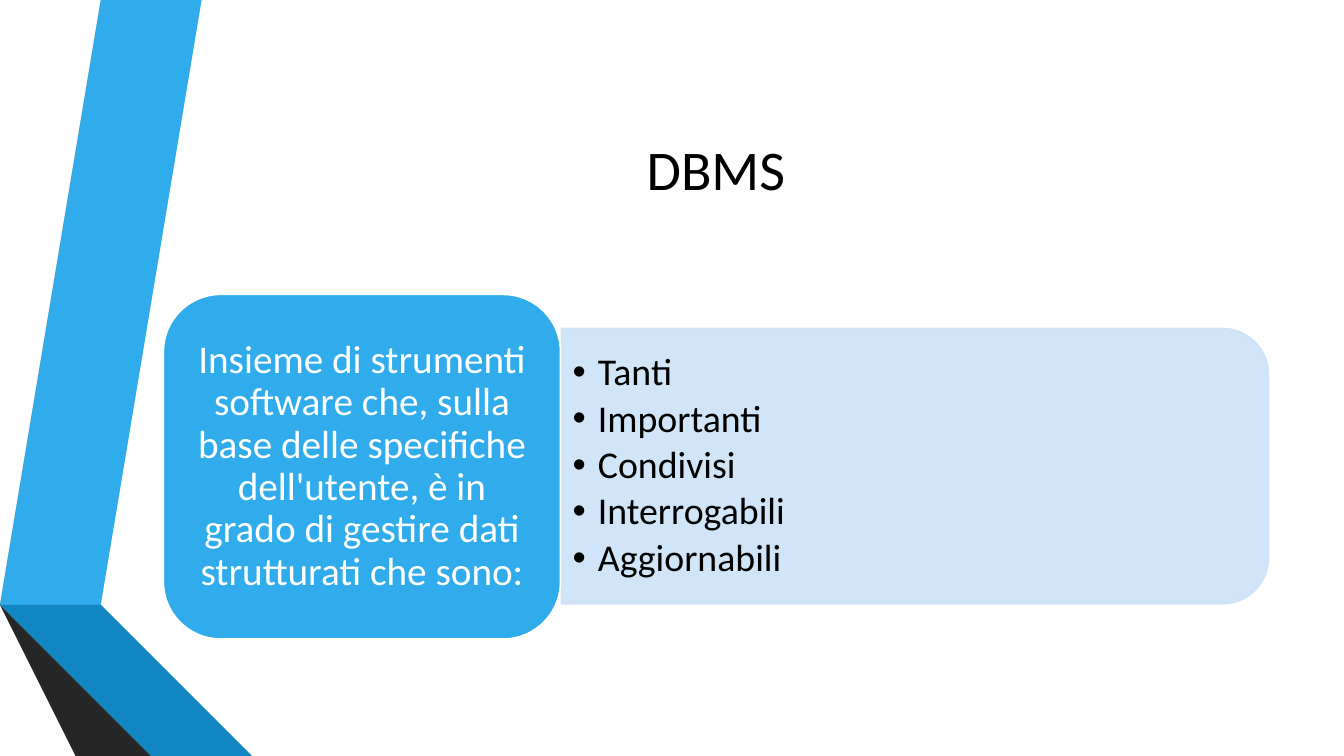
from dataclasses import dataclass

from lxml import etree
from pptx import Presentation
from pptx.dml.color import RGBColor
from pptx.enum.shapes import MSO_SHAPE as Shape
from pptx.enum.text import MSO_ANCHOR as Anchor, MSO_AUTO_SIZE as AutoSize, PP_ALIGN as Align
from pptx.oxml.ns import qn
from pptx.util import Inches, Pt

BLUE = "30ACEC"
PALE_BLUE = "CDE3F8"
WHITE = "FFFFFF"
BLACK = "000000"


@dataclass
class Ribbon:
    color: str
    points: list[tuple[float, float]]


@dataclass
class Card:
    kind: Shape
    box: tuple[float, float, float, float]
    fill: str
    line: str
    rotation: int = 0
    opacity: int = 100


RIBBONS = [
    Ribbon(BLUE, [(0.5, 5.78), (0.77, 5.83), (1.73, 0), (1.45, 0)]),
    Ribbon("595959", [(1.39, 0), (1.11, 0), (0.16, 5.73), (0.44, 5.77)]),
    Ribbon("262626", [(0.16, 5.73), (1.45, 7.5), (1.51, 7.5)]),
    Ribbon("0C5A82", [(0.5, 5.79), (2.08, 7.5), (2.14, 7.5)]),
    Ribbon("1287C3", [(0.5, 5.79), (2.14, 7.5), (2.83, 7.5), (0.77, 5.83), (0.5, 5.78)]),
    Ribbon("404040", [(2.02, 7.5), (0.48, 5.83), (0.43, 5.78), (0.44, 5.77),
                      (0.16, 5.73), (1.51, 7.5)]),
]
PANEL = Card(Shape.ROUND_2_SAME_RECTANGLE, (7.71, 1.12, 2.73, 7.01),
             PALE_BLUE, PALE_BLUE, rotation=90, opacity=90)
DEFINITION = Card(Shape.ROUNDED_RECTANGLE, (1.62, 2.92, 3.94, 3.42), BLUE, WHITE)
DEFINITION_TEXT = ("Insieme di strumenti software che, sulla base delle specifiche "
                   "dell'utente, è in grado di gestire dati strutturati che sono:")
QUALITIES = ["Tanti", "Importanti", "Condivisi", "Interrogabili", "Aggiornabili"]


def paint(fill, color: str, opacity: int = 100) -> None:
    fill.solid()
    fill.fore_color.rgb = RGBColor.from_string(color)
    if opacity < 100:
        for clr in fill._xPr.iter(qn("a:srgbClr")):
            etree.SubElement(clr, qn("a:alpha")).set("val", str(opacity * 1000))


def draw_ribbon(shapes, ribbon: Ribbon) -> None:
    builder = shapes.build_freeform(*ribbon.points[0], scale=Inches(1))
    builder.add_line_segments(ribbon.points[1:], close=True)
    sp = builder.convert_to_shape()
    sp.shadow.inherit = False
    paint(sp.fill, ribbon.color)
    sp.line.fill.background()


def draw_card(shapes, card: Card):
    sp = shapes.add_shape(card.kind, *map(Inches, card.box))
    sp.rotation = card.rotation
    sp.shadow.inherit = False
    paint(sp.line.fill, card.line, card.opacity)
    sp.line.width = Pt(1.25)
    paint(sp.fill, card.fill, card.opacity)
    return sp


def place(sp, left: float, top: float, width: float, height: float) -> None:
    sp.left, sp.top = Inches(left), Inches(top)
    sp.width, sp.height = Inches(width), Inches(height)


def prepare_frame(sp, side: float, edge: float):
    tf = sp.text_frame
    tf.word_wrap = True
    tf.auto_size = AutoSize.NONE
    tf.vertical_anchor = Anchor.MIDDLE
    tf.margin_left = tf.margin_right = Inches(side)
    tf.margin_top = tf.margin_bottom = Inches(edge)
    return tf


def add_text(p, text: str, size: float, color: str, align: Align) -> None:
    p.alignment = align
    p.line_spacing = 0.9
    p.space_before = Pt(0)
    r = p.add_run()
    r.text = text
    r.font.name = "Calibri"
    r.font.size = Pt(size)
    r.font.color.rgb = RGBColor.from_string(color)


def add_bullet(p) -> None:
    pPr = p._p.get_or_add_pPr()
    pPr.set("marL", str(Inches(0.25)))
    pPr.set("indent", str(-Inches(0.25)))
    etree.SubElement(pPr, qn("a:buFont")).set("typeface", "Arial")
    etree.SubElement(pPr, qn("a:buChar")).set("char", "•")


def main() -> None:
    prs = Presentation()
    prs.slide_width, prs.slide_height = Inches(13.33), Inches(7.5)
    slide = prs.slides.add_slide(prs.slide_layouts[1])
    shapes = slide.shapes
    title, body = slide.placeholders

    for ribbon in RIBBONS:
        draw_ribbon(shapes, ribbon)

    place(title, 1.62, 0.75, 10.96, 1.92)
    tf = prepare_frame(title, 0.1, 0.05)
    add_text(tf.paragraphs[0], "DBMS", 40, BLACK, Align.CENTER)

    draw_card(shapes, PANEL)
    shapes._spTree.append(body._element)
    place(body, 5.57, 3.39, 6.88, 2.47)
    tf = prepare_frame(body, 0.11, 0.06)
    for i, quality in enumerate(QUALITIES):
        p = tf.add_paragraph() if i else tf.paragraphs[0]
        add_bullet(p)
        add_text(p, quality, 27, BLACK, Align.LEFT)
        p.space_after = Pt(4)

    sp = draw_card(shapes, DEFINITION)
    tf = prepare_frame(sp, 0.12, 0.06)
    add_text(tf.paragraphs[0], DEFINITION_TEXT, 28, WHITE, Align.CENTER)

    prs.save("out.pptx")


if __name__ == "__main__":
    main()
